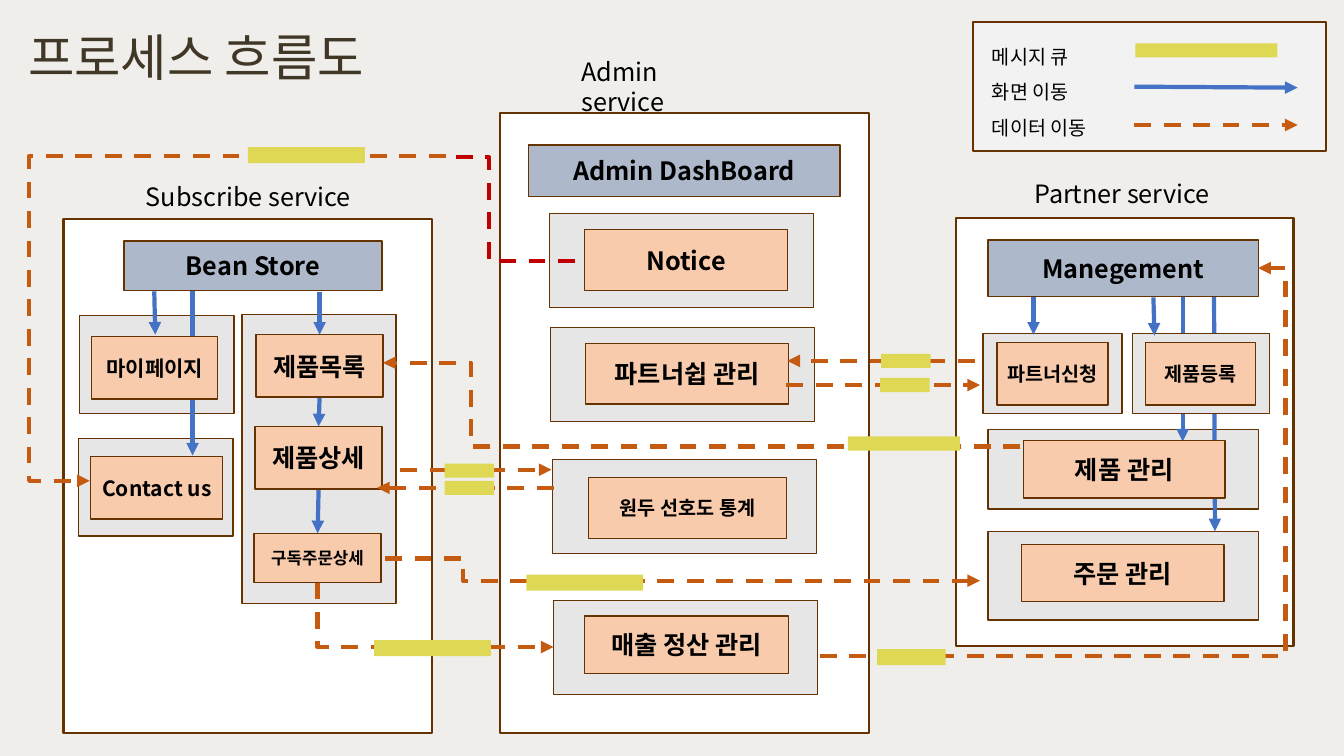
import pptx
import pptx.util
import pptx.dml.color
import pptx.enum.dml
import pptx.enum.shapes
import pptx.enum.text
import pptx.oxml
import pptx.oxml.ns

FONT = "Noto Sans CJK KR"
BROWN, BLACK, WHITE = "663300", "000000", "FFFFFF"
GRAY, PALE, HEADER, PEACH = "E7E6E6", "F2F2F2", "ADB9CA", "F8CBAD"
QUEUE, BLUE, ORANGE, RED = "DFD855", "4472C4", "C55A11", "C00000"

PANELS = [
    (0.63, 2.17, 3.66, 5.1),
    (4.96, 1.12, 3.66, 6.15),
    (9.48, 2.16, 3.35, 4.25),
]
CARDS = [
    (0.79, 3.13, 1.53, 0.97), (0.78, 4.35, 1.53, 0.97), (2.4, 3.12, 1.53, 2.87),
    (5.45, 2.12, 2.62, 0.93), (5.46, 3.25, 2.62, 0.93),
    (5.48, 4.56, 2.62, 0.93), (5.49, 5.96, 2.62, 0.93),
    (9.75, 3.31, 1.38, 0.79), (9.8, 4.26, 2.68, 0.79), (9.8, 5.27, 2.68, 0.88),
]
REGISTER_CARD = (11.23, 3.31, 1.36, 0.79)
HEADERS = [
    ("Bean Store", 18, (1.23, 2.39, 2.56, 0.49)),
    ("Admin DashBoard", 18, (5.24, 1.44, 3.09, 0.51)),
    ("Manegement", 18, (9.8, 2.38, 2.68, 0.56)),
]
STEPS = [
    ("마이페이지", 15, (0.91, 3.34, 1.25, 0.62)),
    ("Contact us", 15, (0.9, 4.53, 1.31, 0.62)),
    ("제품목록", 18, (2.54, 3.32, 1.26, 0.62)),
    ("제품상세", 18, (2.53, 4.23, 1.26, 0.62)),
    ("구독주문상세", 12, (2.52, 5.29, 1.26, 0.49)),
    ("Notice", 18, (5.8, 2.28, 2.01, 0.6)),
    ("파트너쉽 관리", 18, (5.81, 3.41, 2.01, 0.6)),
    ("원두 선호도 통계", 14, (5.84, 4.74, 1.96, 0.6)),
    ("매출 정산 관리", 18, (5.8, 6.11, 2.02, 0.57)),
    ("파트너신청", 14, (9.89, 3.4, 1.1, 0.62)),
    ("제품등록", 14, (11.36, 3.4, 1.09, 0.62)),
    ("제품 관리", 18, (10.15, 4.37, 2, 0.57)),
    ("주문 관리", 18, (10.13, 5.4, 2.01, 0.57)),
]
LONG_MOVES = [(12.04, 2.61, 12.05, 5.27), (11.73, 2.67, 11.73, 4.38)]
MOVES = [
    (1.53, 2.89, 1.54, 3.32), (1.91, 2.87, 1.91, 4.52), (3.17, 2.9, 3.17, 3.32),
    (3.17, 3.94, 3.16, 4.23), (3.16, 4.85, 3.15, 5.29),
    (10.25, 2.76, 10.25, 3.32), (11.44, 2.95, 11.45, 3.33),
]
NOTICE_LINK = (4.52, 1.56, 5.91, 2.59)
NOTICE_TURN = 4.85
DATA_STRAIGHT = [
    (9.67, 3.58, 7.81, 3.58), (7.8, 3.82, 9.72, 3.82),
    (3.97, 4.66, 5.47, 4.66), (5.49, 4.84, 3.74, 4.84),
]
DATA_BENT = [
    ((10.12, 4.43, 3.8, 3.6), 4.67),
    ((8.13, 6.51, 12.48, 2.66), 12.75),
    ((3.82, 5.54, 9.72, 5.76), 4.59),
    ((4.42, 1.55, 0.89, 4.77), 0.29),
]
SALES_LINK = (3.15, 5.78, 5.49, 6.42)
QUEUES = [
    (2.46, 1.46, 1.16, 0.16), (8.74, 3.51, 0.49, 0.14), (8.73, 3.75, 0.49, 0.14),
    (8.41, 4.33, 1.11, 0.14), (4.41, 4.6, 0.49, 0.14), (4.41, 4.77, 0.49, 0.14),
    (5.22, 5.7, 1.16, 0.16), (3.71, 6.35, 1.16, 0.16), (8.7, 6.44, 0.68, 0.16),
]
TITLE = ("프로세스 흐름도", (0.18, 0.11, 4.63, 0.97))
SERVICES = [
    ("Subscribe service", (1.35, 1.75, 3.14, 0.4)),
    ("Admin service", (5.67, 0.51, 1.5, 0.7)),
    ("Partner service", (10.16, 1.72, 2.95, 0.4)),
]
LEGEND = (9.65, 0.22, 3.5, 1.28)
LEGEND_TEXT = ("메시지 큐\n화면 이동\n데이터 이동", (9.74, 0.28, 1.25, 1.34))
LEGEND_QUEUE = (11.26, 0.43, 1.41, 0.14)
LEGEND_MOVE = (11.25, 0.86, 12.87, 0.87)
LEGEND_DATA = (11.25, 1.24, 12.87, 1.24)

KIND = pptx.enum.shapes.MSO_CONNECTOR
ANCHOR = pptx.enum.text.MSO_ANCHOR
ALIGN = pptx.enum.text.PP_ALIGN


def rgb(value):
    return pptx.dml.color.RGBColor.from_string(value)


def inches(values):
    return [pptx.util.Inches(v) for v in values]


def sub(parent, tag, **attrs):
    el = pptx.oxml.parse_xml(f"<{tag} {pptx.oxml.ns.nsdecls('a')}/>")
    for name, value in attrs.items():
        el.set(name, value)
    parent.append(el)


def write(sp, text, size, color=BLACK, bold=False, align=ALIGN.LEFT,
          anchor=ANCHOR.TOP, spacing=None):
    tf = sp.text_frame
    tf.word_wrap = True
    tf.vertical_anchor = anchor
    tf.text = text
    for p in tf.paragraphs:
        p.alignment = align
        p.line_spacing = spacing
        for r in p.runs:
            r.font.size = pptx.util.Pt(size)
            r.font.bold = bold
            r.font.name = FONT
            r.font.color.rgb = rgb(color)
            sub(r.font._element, "a:ea", typeface=FONT)


def label(text, at, size, **style):
    write(s.shapes.add_textbox(*inches(at)), text, size, **style)


def box(at, fill, width=0):
    sp = s.shapes.add_shape(pptx.enum.shapes.MSO_SHAPE.RECTANGLE, *inches(at))
    sp.shadow.inherit = False
    sp.fill.solid()
    sp.fill.fore_color.rgb = rgb(fill)
    if width:
        sp.line.color.rgb = rgb(BROWN)
        sp.line.width = pptx.util.Pt(width)
    else:
        sp.line.fill.background()
    return sp


def named_box(text, size, at, fill):
    sp = box(at, fill, 1)
    sp.text_frame.margin_left = sp.text_frame.margin_right = pptx.util.Inches(0.05)
    write(sp, text, size, bold=True, align=ALIGN.CENTER, anchor=ANCHOR.MIDDLE)


def link(ends, color, dashed=True, kind=KIND.STRAIGHT, arrow=True):
    c = s.shapes.add_connector(kind, *inches(ends))
    c.line.color.rgb = rgb(color)
    c.line.width = pptx.util.Pt(3)
    if dashed:
        c.line.dash_style = pptx.enum.dml.MSO_LINE.DASH
    if arrow:
        sub(c.line._get_or_add_ln(), "a:tailEnd", type="triangle")
    sub(c._element.spPr, "a:effectLst")
    return c


def bent_link(ends, turn, color, arrow=True):
    c = link(ends, color, kind=KIND.ELBOW, arrow=arrow)
    ratio = (turn - ends[0]) / (ends[2] - ends[0])
    guides = c._element.spPr.prstGeom.get_or_add_avLst()
    sub(guides, "a:gd", name="adj1", fmla=f"val {round(ratio * 100000)}")


def corner_link(ends, color):
    x1, y1, x2, y2 = ends
    cx, cy = (x1 + x2) / 2, (y1 + y2) / 2
    half_w, half_h = (y2 - y1) / 2, (x2 - x1) / 2
    turned = (cx + half_w, cy - half_h, cx - half_w, cy + half_h)
    c = link(turned, color, kind=KIND.ELBOW)
    c._element.spPr.prstGeom.set("prst", "bentConnector2")
    c._element.spPr.xfrm.set("rot", str(270 * 60000))


prs = pptx.Presentation()
prs.slide_width, prs.slide_height = inches((13.33, 7.5))
s = prs.slides.add_slide(prs.slide_layouts[6])
s.background.fill.solid()
s.background.fill.fore_color.rgb = rgb("EFEEEB")

label(*TITLE, 36, color="403726", anchor=ANCHOR.MIDDLE, spacing=0.9)
for at in PANELS:
    box(at, WHITE, 1.5)
for text, at in SERVICES:
    label(text, at, 18)
for at in CARDS:
    box(at, GRAY, 1)
for ends in LONG_MOVES:
    link(ends, BLUE, dashed=False)
box(REGISTER_CARD, GRAY, 1)
for ends in MOVES:
    link(ends, BLUE, dashed=False)
bent_link(NOTICE_LINK, NOTICE_TURN, RED, arrow=False)
for fill, group in ((HEADER, HEADERS), (PEACH, STEPS)):
    for text, size, at in group:
        named_box(text, size, at, fill)
for ends in DATA_STRAIGHT:
    link(ends, ORANGE)
for ends, turn in DATA_BENT:
    bent_link(ends, turn, ORANGE)
corner_link(SALES_LINK, ORANGE)

box(LEGEND, PALE, 1.5)
label(*LEGEND_TEXT, 14, spacing=1.5)
link(LEGEND_MOVE, BLUE, dashed=False)
link(LEGEND_DATA, ORANGE)
for at in QUEUES + [LEGEND_QUEUE]:
    box(at, QUEUE)

prs.save("out.pptx")
